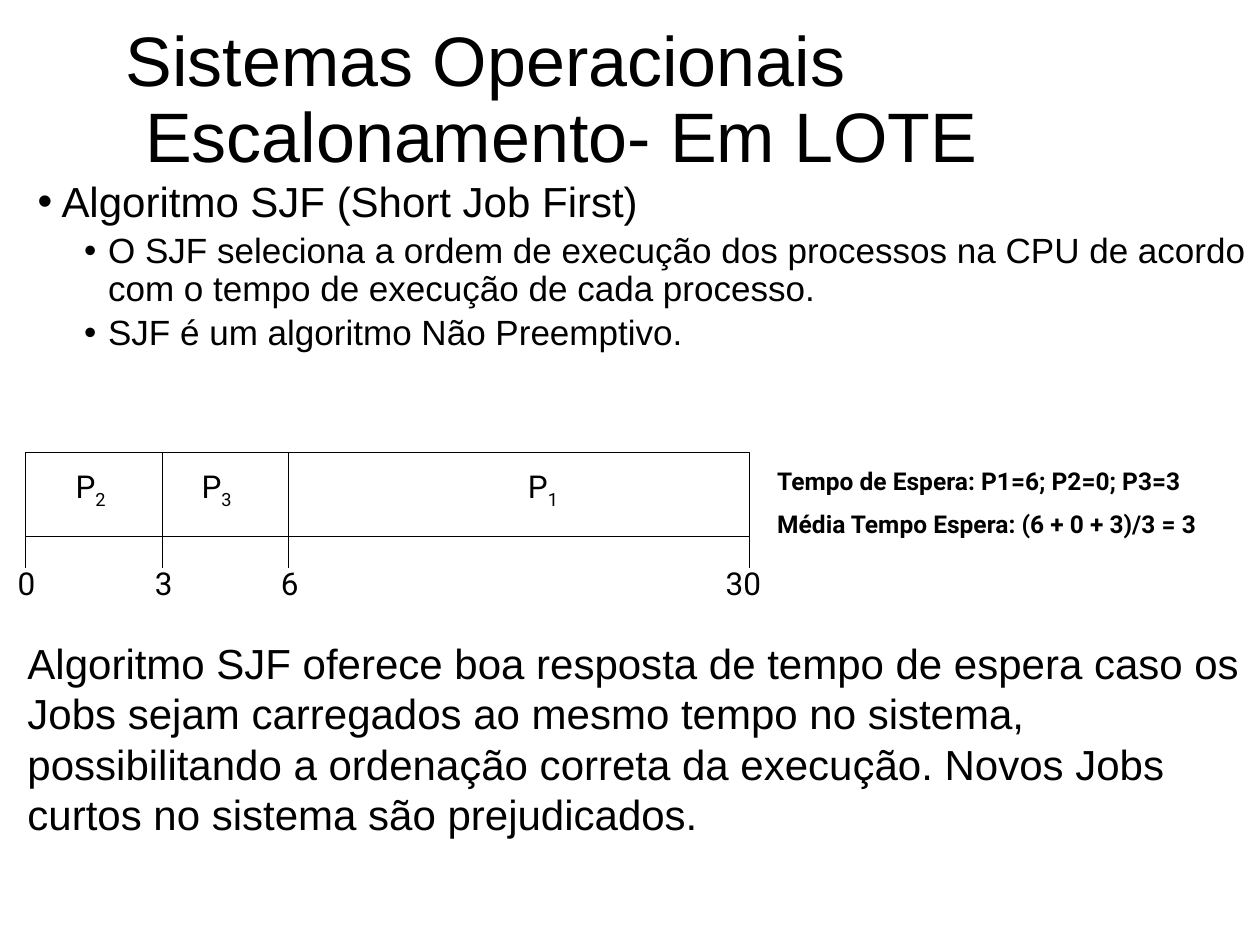
from lxml.etree import SubElement
from pptx import Presentation
from pptx.dml.color import RGBColor
from pptx.enum.shapes import MSO_CONNECTOR as Connector, MSO_SHAPE as Shape
from pptx.enum.text import MSO_ANCHOR as Anchor, MSO_AUTO_SIZE as AutoSize, PP_ALIGN as Align
from pptx.oxml.ns import qn
from pptx.util import Inches, Pt

COLORS = {"ink": "000000", "paper": "FFFFFF"}
INK = RGBColor.from_string(COLORS["ink"])
PAPER = RGBColor.from_string(COLORS["paper"])

presentation = Presentation()
presentation.slide_width, presentation.slide_height = Inches(10), Inches(7.5)
COLUMN = presentation.slide_width / 100
ROW = presentation.slide_height / 75
slide = presentation.slides.add_slide(presentation.slide_layouts[6])


def add_text(left, top, width, height, paragraphs, size, font="Arial", bold=None, **frame_format):
    """Add a text box; each paragraph is (runs, paragraph format), each run (text, font format)."""
    box = slide.shapes.add_textbox(
        *(round(n) for n in (left * COLUMN, top * ROW, width * COLUMN, height * ROW)))
    for name, value in {"word_wrap": True, **frame_format}.items():
        setattr(box.text_frame, name, value)
    for index, (runs, paragraph_format) in enumerate(paragraphs):
        paragraph = box.text_frame.add_paragraph() if index else box.text_frame.paragraphs[0]
        for name, value in paragraph_format.items():
            setattr(paragraph, name, value)
        for text, run_format in runs:
            if text == "\n":
                paragraph.add_line_break()
                continue
            run = paragraph.add_run()
            run.text = text
            run.font.color.rgb = INK
            for name, value in {"size": Pt(size), "name": font, "bold": bold, **run_format}.items():
                setattr(run.font, name, value)
    return box


def add_line(x, top, bottom):
    line = slide.shapes.add_connector(
        Connector.STRAIGHT, *(round(n) for n in (x * COLUMN, top * ROW, x * COLUMN, bottom * ROW)))
    line.line.color.rgb = INK
    line.line.width = Pt(0.75)
    SubElement(line._element.spPr, qn("a:effectLst"))


# Title
title_runs = [("Sistemas Operacionais", {}), ("\n", {}), (" Escalonamento- Em LOTE", {})]
add_text(9, 0, 85, 16.2, [(title_runs, {"line_spacing": 0.9})], 40,
         vertical_anchor=Anchor.MIDDLE)

# Bulleted description: text, level, size, space before
bullets = [
    ("Algoritmo SJF (Short Job First)", 0, 24, 7.5),
    ("O SJF seleciona a ordem de execução dos processos na CPU de acordo "
     "com o tempo de execução de cada processo.", 1, 20, 3.8),
    ("SJF é um algoritmo Não Preemptivo.", 1, 20, 3.8),
]
description = add_text(2, 13.9, 98, 20.5, [
    ([(text, {"size": Pt(size)})],
     {"level": level, "line_spacing": 0.9, "space_before": Pt(before)})
    for text, level, size, before in bullets], 24)
for paragraph in description.text_frame.paragraphs:
    properties = paragraph._p.get_or_add_pPr()
    properties.set("marL", str(Inches(0.19 + 0.37 * paragraph.level)))
    properties.set("indent", str(-Inches(0.19)))
    SubElement(properties, qn("a:buFont"), typeface="Arial")
    SubElement(properties, qn("a:buChar"), char="•")

# Conclusion, with each "ç" of these words set in Roboto
cedilla = ("ç", {"name": "Roboto"})
conclusion = [
    ("Algoritmo SJF oferece boa resposta de tempo de espera caso os Jobs sejam "
     "carregados ao mesmo tempo no sistema, possibilitando a ordena", {}),
    cedilla, ("ão correta da execu", {}),
    cedilla, ("ão. Novos Jobs curtos no sistema são prejudicados.", {}),
]
add_text(1.2, 50.1, 100, 17.2, [(conclusion, {})], 24, auto_size=AutoSize.SHAPE_TO_FIT_TEXT)

# Gantt chart
BAR_TOP, BAR_BOTTOM, TICK_BOTTOM = 35.9, 42.6, 45.1
BAR_LEFT, BAR_RIGHT = 2, 59.5
bar = slide.shapes.add_shape(Shape.RECTANGLE, *(round(n) for n in (
    BAR_LEFT * COLUMN, BAR_TOP * ROW,
    (BAR_RIGHT - BAR_LEFT) * COLUMN, (BAR_BOTTOM - BAR_TOP) * ROW)))
bar.shadow.inherit = False
bar.fill.solid()
bar.fill.fore_color.rgb = PAPER
bar.line.color.rgb = INK
bar.line.width = Pt(0.75)

label_format = {"size": 18, "font": "Roboto", "word_wrap": False,
                "vertical_anchor": Anchor.MIDDLE, "auto_size": AutoSize.SHAPE_TO_FIT_TEXT}
centered = {"alignment": Align.CENTER}

for number, center in (("2", 7.2), ("3", 17.2), ("1", 43.1)):
    label = add_text(center - 2.3, 36.8, 4.6, 4,
                     [([("P", {}), (number, {})], centered)], **label_format)
    subscript = label.text_frame.paragraphs[0].runs[1]
    subscript.font._element.set("baseline", "-25000")

# Time, tick position, label centre, label width
ticks = [("0", BAR_LEFT, 2.1, 3.4), ("3", 12.9, 13, 3.4),
         ("6", 22.9, 23, 3.4), ("30", BAR_RIGHT, 59, 4.8)]
for time, x, center, width in ticks:
    add_line(x, BAR_BOTTOM, TICK_BOTTOM)
    if BAR_LEFT < x < BAR_RIGHT:
        add_line(x, BAR_TOP, BAR_BOTTOM)
    add_text(center - width / 2, 44.3, width, 4, [([(time, {})], centered)], **label_format)

# Waiting times
add_text(60.7, 36.5, 38.6, 6.5, [
    ([("Tempo de Espera: P1=6; P2=0; P3=3", {})], {}),
    ([("Média Tempo Espera: (6 + 0 + 3)/3 = 3", {})], {"space_before": Pt(7.5)}),
], 14, font="Roboto", bold=True, auto_size=AutoSize.SHAPE_TO_FIT_TEXT)

presentation.save("out.pptx")
